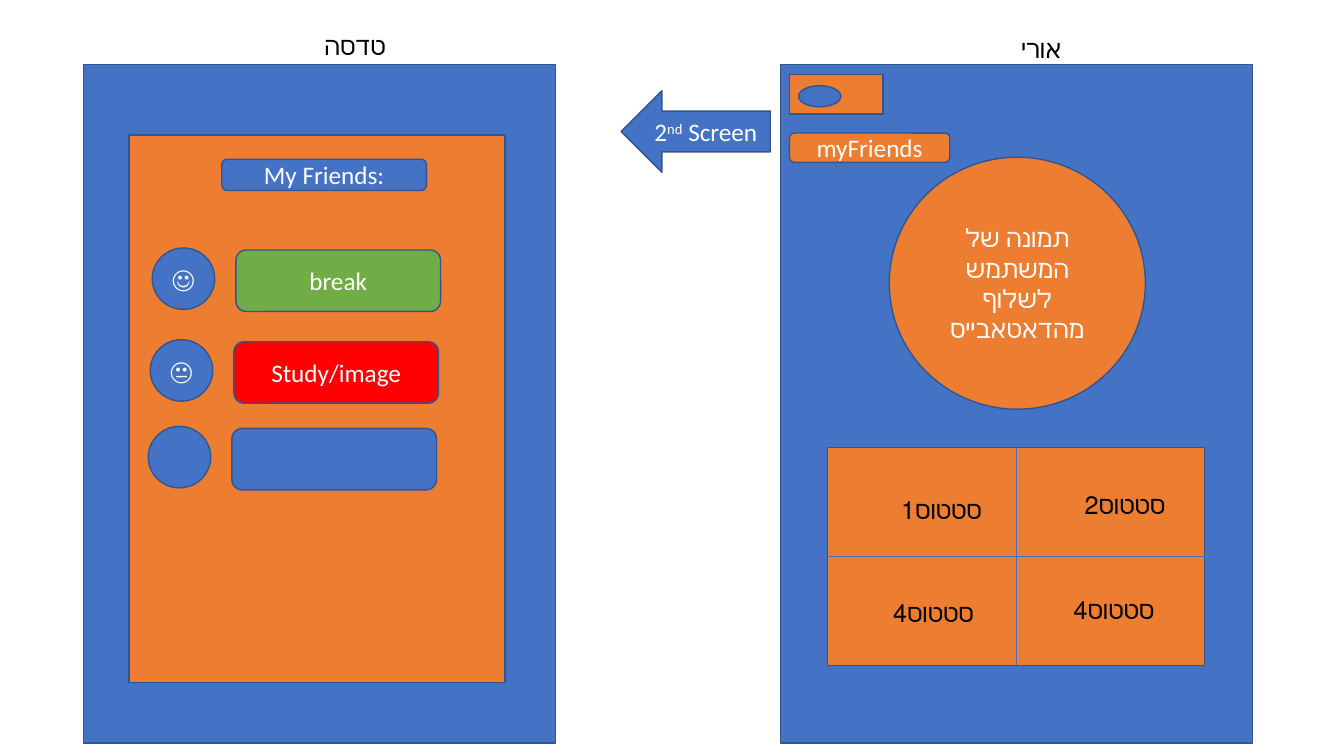
"""Build the app mock-up slide: a profile screen leading to a friends screen."""
from pptx import Presentation
from pptx.dml.color import RGBColor
from pptx.enum import shapes, text
from pptx.util import Inches, Pt
from lxml import etree

COLORS = {"blue": "4472C4", "orange": "ED7D31", "green": "70AD47", "red": "FF0000",
          "outline": "325491", "white": "FFFFFF", "black": "000000"}
KINDS = shapes.MSO_SHAPE
A = "http://schemas.openxmlformats.org/drawingml/2006/main"

PHONE_TOP, PHONE_W, PHONE_H = 0.64, 4.68, 6.73
PROFILE_X, FRIENDS_X = 7.74, 0.83
GRID = (8.21, 4.44, 3.74, 2.16)

PROFILE_PARTS = [
    (KINDS.OVAL, (8.82, 1.56, 2.54, 2.5), "orange",
     ["תמונה של המשתמש", "לשלוף מהדאטאבייס"]),
    (KINDS.RECTANGLE, (7.83, 0.74, 0.93, 0.39), "orange", []),
    (KINDS.OVAL, (7.92, 0.85, 0.42, 0.21), "blue", []),
    (KINDS.RECTANGLE, GRID, "orange", []),
    (KINDS.ROUNDED_RECTANGLE, (7.83, 1.32, 1.59, 0.29), "orange", ["myFriends"]),
]
FRIENDS_PARTS = [
    (KINDS.RECTANGLE, (1.28, 1.34, 3.73, 5.43), "orange", []),
    (KINDS.ROUNDED_RECTANGLE, (2.2, 1.58, 2.03, 0.31), "blue", ["My Friends:"]),
]
FRIENDS = [
    (1.51, 2.46, "☺", "break", "green"),
    (1.49, 3.37, "😐", "Study/image", "red"),
    (1.47, 4.23, "", "", "blue"),
]
ARROW = (6.16, 0.9, 1.48, 0.81)
ARROW_TEXT = [("2", 0), ("nd", 30000), (" Screen", 0)]
LABELS = [
    (10.03, 0.28, "אורי"),
    (3.12, 0.25, "טדסה"),
    (8.84, 4.85, "סטטוס1"),
    (10.66, 4.81, "סטטוס2"),
    (8.76, 5.88, "סטטוס4"),
    (10.55, 5.85, "סטטוס4"),
]


def rgb(name):
    return RGBColor.from_string(COLORS[name])


def write(p, content, color="white", size=18, font="Calibri", align=None, baseline=0):
    p.alignment = align
    r = p.add_run()
    r.text = content
    r.font.size, r.font.name = Pt(size), font
    r.font.color.rgb = rgb(color)
    if baseline:
        r.font._element.set("baseline", str(baseline))


def add_part(kind, box, fill, lines=()):
    sp = s.shapes.add_shape(kind, *map(Inches, box))
    sp.shadow.inherit = False
    sp.fill.solid()
    sp.fill.fore_color.rgb = rgb(fill)
    sp.line.color.rgb = rgb("outline")
    sp.line.width = Pt(1)
    tf = sp.text_frame
    tf.vertical_anchor = text.MSO_ANCHOR.MIDDLE
    for i, line in enumerate(lines):
        p = tf.add_paragraph() if i else tf.paragraphs[0]
        write(p, line, align=text.PP_ALIGN.CENTER)
    return sp


def add_divider(x1, y1, x2, y2):
    line = s.shapes.add_connector(shapes.MSO_CONNECTOR.STRAIGHT,
                                  *map(Inches, (x1, y1, x2, y2)))
    line.line.color.rgb = rgb("blue")
    line.line.width = Pt(0.5)
    etree.SubElement(line._element.spPr, f"{{{A}}}effectLst")


def add_label(x, y, content):
    tf = s.shapes.add_textbox(*map(Inches, (x, y, 1.24, 0.4))).text_frame
    tf.word_wrap = True
    tf.auto_size = text.MSO_AUTO_SIZE.SHAPE_TO_FIT_TEXT
    write(tf.paragraphs[0], content, color="black")


prs = Presentation()
prs.slide_width, prs.slide_height = Inches(13.33), Inches(7.5)
s = prs.slides.add_slide(prs.slide_layouts[6])

for phone_x, parts in ((PROFILE_X, PROFILE_PARTS), (FRIENDS_X, FRIENDS_PARTS)):
    add_part(KINDS.RECTANGLE, (phone_x, PHONE_TOP, PHONE_W, PHONE_H), "blue")
    for part in parts:
        add_part(*part)

x, y, w, h = GRID
add_divider(x, y + h / 2, x + w, y + h / 2)
add_divider(x + w / 2, y, x + w / 2, y + h)

for x, y, face, status, color in FRIENDS:
    add_part(KINDS.OVAL, (x, y, 0.62, 0.61), "blue", [face] if face else [])
    add_part(KINDS.ROUNDED_RECTANGLE, (x + 0.83, y + 0.02, 2.03, 0.61), color,
             [status] if status else [])

arrow = add_part(KINDS.LEFT_ARROW, ARROW, "blue")
for content, baseline in ARROW_TEXT:
    write(arrow.text_frame.paragraphs[0], content, align=text.PP_ALIGN.CENTER,
          baseline=baseline)

for label in LABELS:
    add_label(*label)

prs.save("out.pptx")
